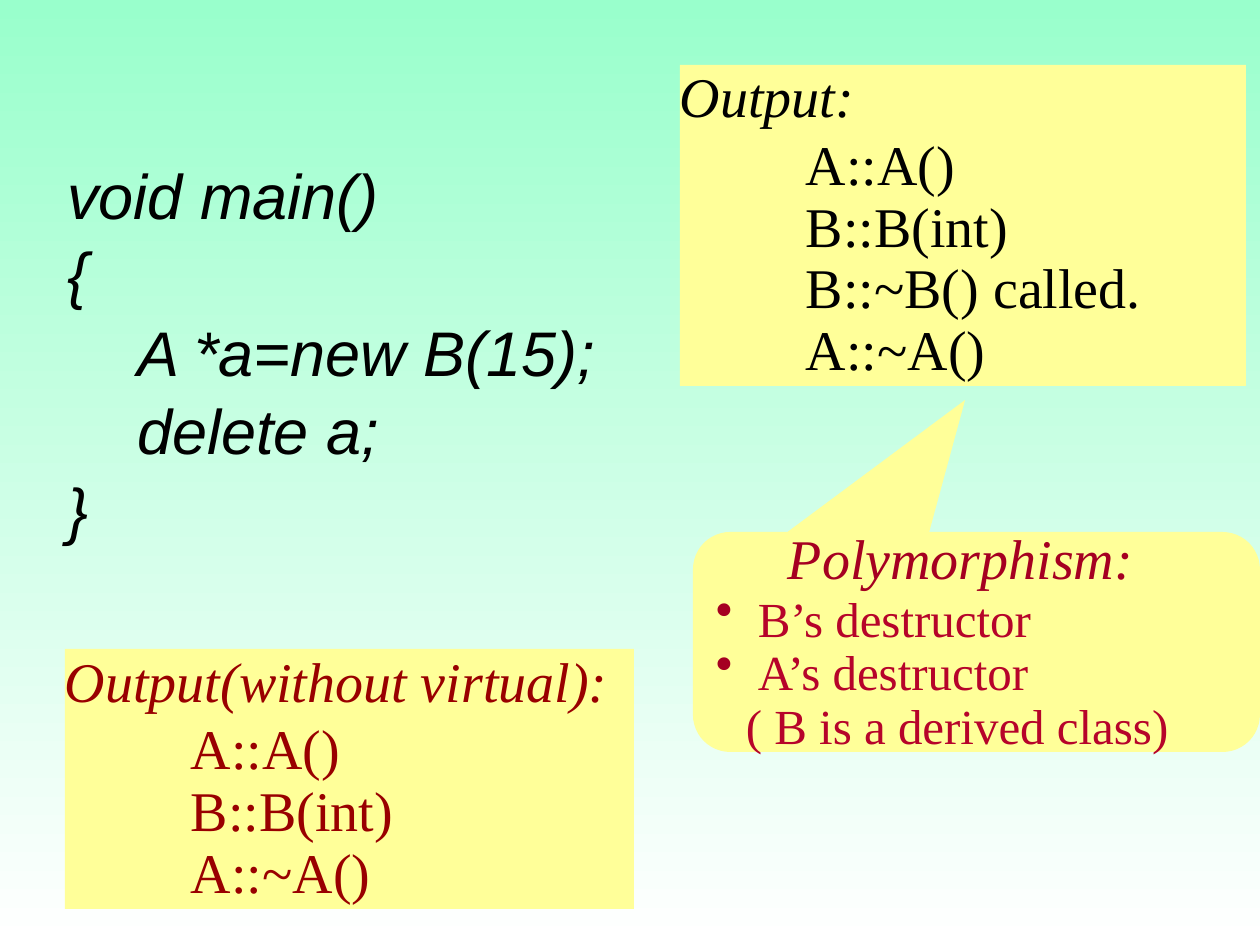
"""Build a slide on virtual destructors: code, two outputs and a callout."""
import pptx
import pptx.dml.color
import pptx.enum.shapes
import pptx.enum.text
import pptx.oxml
import pptx.oxml.ns
import pptx.util

RGB = pptx.dml.color.RGBColor
SHAPE = pptx.enum.shapes.MSO_SHAPE
ANCHOR = pptx.enum.text.MSO_ANCHOR
MINT = RGB(0x99, 0xFF, 0xCC)
WHITE = RGB(0xFF, 0xFF, 0xFF)
CREAM = RGB(0xFF, 0xFF, 0x99)
BLACK = RGB(0, 0, 0)
MAROON = RGB(0x99, 0, 0)
WINE = RGB(0xA5, 0, 0x21)
RED = RGB(0xB6, 0x04, 0x2A)
SERIF = "Times New Roman"


def px(num):
    return pptx.util.Emu(round(num * 914400 / 126))


def write(frame, text, font=SERIF, size=32, color=BLACK, slant=False,
          left=0, hang=0, lead=1, gap=0, dot=None):
    first = frame.paragraphs[0]
    para = first if not first.runs else frame.add_paragraph()
    para.alignment = pptx.enum.text.PP_ALIGN.LEFT
    para.line_spacing = lead
    para.space_before = pptx.util.Pt(gap)
    props = para._p.get_or_add_pPr()
    props.set("marL", str(px(left)))
    props.set("indent", str(-px(hang)))
    if dot:
        space = pptx.oxml.ns.nsdecls("a")
        for xml in (f'<a:buClr {space}><a:srgbClr val="{dot}"/></a:buClr>',
                    f'<a:buChar {space} char="•"/>'):
            props.append(pptx.oxml.parse_xml(xml))
    run = para.add_run()
    run.text = text
    run.font.name = font
    run.font.size = pptx.util.Pt(size)
    run.font.italic = slant
    run.font.color.rgb = color


class Deck:
    def __init__(self):
        self.show = pptx.Presentation()
        self.show.slide_width, self.show.slide_height = px(1260), px(945)
        self.slide = self.show.slides.add_slide(self.show.slide_layouts[6])

    def back(self, top, low):
        fill = self.slide.background.fill
        fill.gradient()
        fill.gradient_angle = 270
        for stop, color in zip(fill.gradient_stops, (top, low)):
            stop.color.rgb = color

    def frame(self, shape, side, edge, anchor):
        frame = shape.text_frame
        frame.word_wrap = True
        frame.vertical_anchor = anchor
        frame.margin_left = frame.margin_right = px(side)
        frame.margin_top = frame.margin_bottom = px(edge)
        return frame

    def panel(self, kind, area, side, edge):
        shape = self.slide.shapes.add_shape(kind, *map(px, area))
        shape.shadow.inherit = False
        shape.fill.solid()
        shape.fill.fore_color.rgb = CREAM
        shape.line.fill.background()
        return shape, self.frame(shape, side, edge, ANCHOR.MIDDLE)

    def code(self, area, lines):
        box = self.slide.shapes.add_textbox(*map(px, area))
        frame = self.frame(box, 13, 6, ANCHOR.BOTTOM)
        for text, left in lines:
            write(frame, text, font="Arial", size=36, slant=True,
                  left=left, gap=1.7)

    def output(self, area, title, lines, color):
        frame = self.panel(SHAPE.RECTANGLE, area, 0, 10)[1]
        write(frame, title, color=color, slant=True, lead=0.8, gap=20)
        for text in lines:
            write(frame, text, color=color, left=126, lead=0.4, gap=20)

    def callout(self, area, title, points, note):
        shape, frame = self.panel(SHAPE.ROUNDED_RECTANGULAR_CALLOUT, area, 2, 1)
        for i, value in enumerate((-0.02, -1.1, 0.17)):
            shape.adjustments[i] = value
        write(frame, title, color=WINE, slant=True, left=82, lead=0.9, gap=8)
        look = dict(size=28, color=RED, lead=0.7, gap=7)
        for text in points:
            write(frame, text, left=52, hang=42, dot=WINE, **look)
        write(frame, note, left=40, **look)


def main():
    deck = Deck()
    deck.back(MINT, WHITE)
    deck.code((54, 86, 596, 466), [
        ("void main()", 0), ("{", 0), ("A *a=new B(15);", 70),
        ("delete a;", 70), ("}", 0)])
    deck.output((680, 65, 566, 321), "Output:",
                ["A::A()", "B::B(int)", "B::~B() called.", "A::~A()"], BLACK)
    deck.output((65, 649, 569, 260), "Output(without virtual):",
                ["A::A()", "B::B(int)", "A::~A()"], MAROON)
    deck.callout((693, 532, 567, 220), "Polymorphism:",
                 ["B’s destructor", "A’s destructor"],
                 "( B is a derived class)")
    deck.show.save("out.pptx")


if __name__ == "__main__":
    main()
